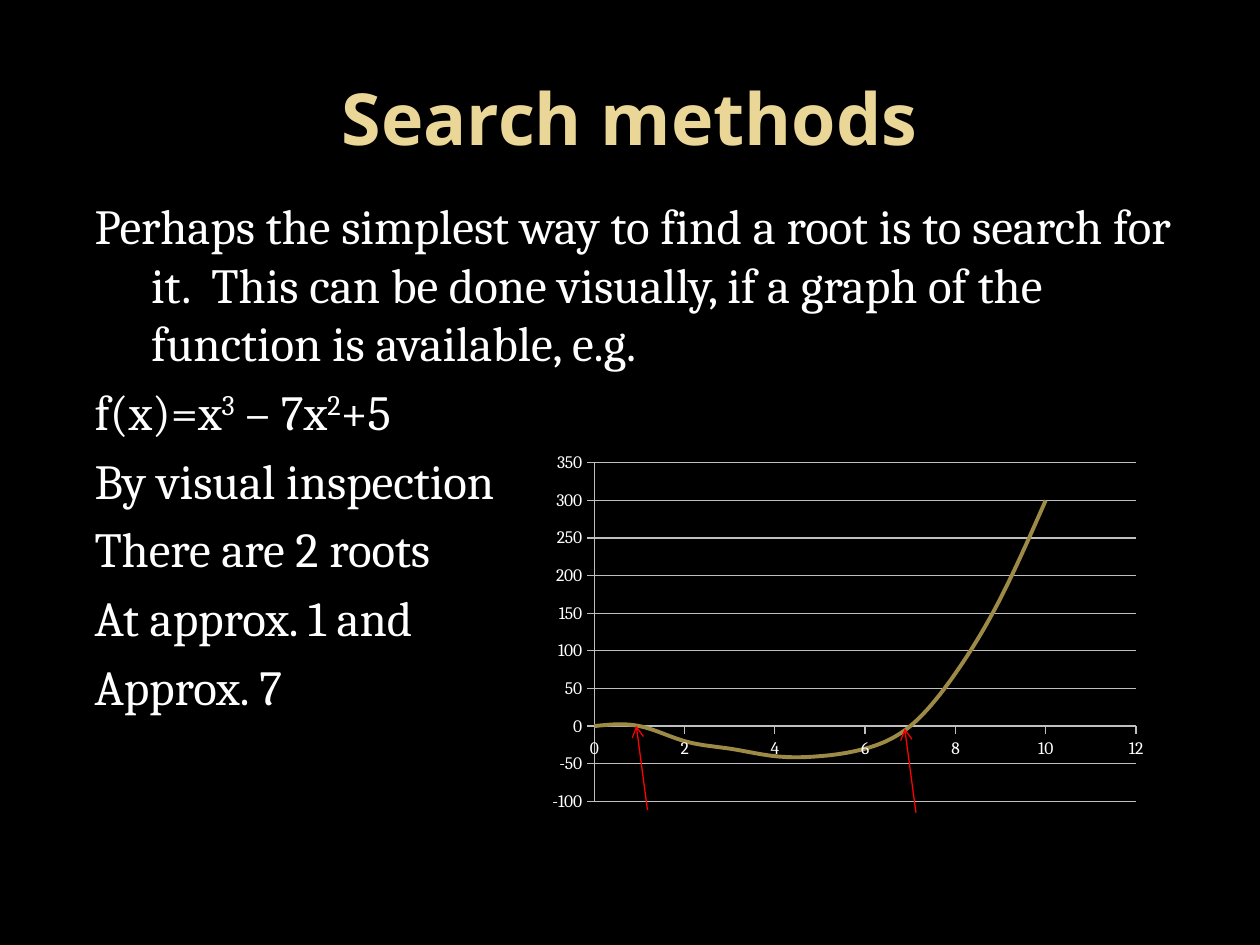
from lxml import etree
from pptx import Presentation
from pptx.chart.data import XyChartData
from pptx.dml.color import RGBColor
from pptx.enum.chart import XL_CHART_TYPE, XL_TICK_LABEL_POSITION, XL_TICK_MARK
from pptx.enum.shapes import MSO_CONNECTOR
from pptx.enum.text import MSO_ANCHOR, MSO_AUTO_SIZE, PP_ALIGN
from pptx.oxml import parse_xml
from pptx.oxml.ns import nsdecls, qn
from pptx.util import Pt

SMOOTH = XL_CHART_TYPE.XY_SCATTER_SMOOTH_NO_MARKERS
NEXT_TO_AXIS = XL_TICK_LABEL_POSITION.NEXT_TO_AXIS
TICK_OUT, TICK_NONE = XL_TICK_MARK.OUTSIDE, XL_TICK_MARK.NONE
STRAIGHT = MSO_CONNECTOR.STRAIGHT
MIDDLE, NO_FIT, CENTER = MSO_ANCHOR.MIDDLE, MSO_AUTO_SIZE.NONE, PP_ALIGN.CENTER


def rgb(value):
    """Turn a hex string into a colour."""
    return RGBColor.from_string(value)


class Deck:
    """Holds the style and the current slide."""
    black, white, gold = "000000", "FFFFFF", "EAD696"
    curve, grid, red = "9C8A46", "BFBFBF", "FF0000"
    head_font, body_font = "Open Sans", "Cambria"

    def __init__(self, prs):
        """Add a title-and-content slide with a dark background."""
        self.s = prs.slides.add_slide(prs.slide_layouts[1])
        fill = self.s.background.fill
        fill.solid()
        fill.fore_color.rgb = rgb(self.black)

    def place(self, sp, left, top, width, height):
        """Move and size a placeholder; return its text frame."""
        sp.left, sp.top, sp.width, sp.height = map(Pt, (left, top, width, height))
        tf = sp.text_frame
        tf.word_wrap, tf.auto_size = True, NO_FIT
        return tf

    def style(self, font, name, size, color, bold=False):
        """Set the face, size, colour and weight of a font."""
        font.name, font.size, font.bold = name, Pt(size), bold
        font.color.rgb = rgb(color)

    def title(self, text, box):
        """Fill the title placeholder."""
        tf = self.place(self.s.shapes.title, *box)
        tf.text, tf.vertical_anchor = text, MIDDLE
        p = tf.paragraphs[0]
        p.alignment = CENTER
        self.style(p.runs[0].font, self.head_font, 41, self.gold, True)

    def body(self, lines, box):
        """Fill the body placeholder; every odd part between ^ is raised."""
        tf = self.place(self.s.placeholders[1], *box)
        for i, line in enumerate(lines):
            p = tf.add_paragraph() if i else tf.paragraphs[0]
            p.space_before = Pt(5.6)
            pPr = p._p.get_or_add_pPr()
            pPr.set("marL", str(Pt(43.2)))
            pPr.set("indent", str(Pt(-32.4)))
            etree.SubElement(pPr, qn("a:buNone"))
            for j, part in enumerate(line.split("^")):
                r = p.add_run()
                r.text = part
                self.style(r.font, self.body_font, 28, self.white)
                if j % 2:
                    r._r.get_or_add_rPr().set("baseline", "30000")

    def axis(self, axis, low, high, step, tick, gridlines):
        """Scale and format one chart axis."""
        axis.minimum_scale, axis.maximum_scale, axis.major_unit = low, high, step
        axis.major_tick_mark, axis.minor_tick_mark = tick, TICK_NONE
        axis.tick_label_position = NEXT_TO_AXIS
        axis.has_major_gridlines = gridlines
        lines = [axis.format.line]
        if gridlines:
            lines.append(axis.major_gridlines.format.line)
        for line in lines:
            line.color.rgb, line.width = rgb(self.grid), Pt(0.75)

    def scatter(self, points, box, plot):
        """Add a smooth scatter chart with a fixed inner plot area."""
        data = XyChartData()
        series = data.add_series("Series 1")
        for x, y in points:
            series.add_data_point(x, y)
        chart = self.s.shapes.add_chart(SMOOTH, *map(Pt, box), data).chart
        chart.has_legend = chart.has_title = False
        self.style(chart.font, self.body_font, 10, self.white)
        self.axis(chart.category_axis, 0, 12, 2, TICK_OUT, False)
        self.axis(chart.value_axis, -100, 350, 50, TICK_OUT, True)
        ser = chart.plots[0].series[0]
        ser.format.line.color.rgb, ser.format.line.width = rgb(self.curve), Pt(2.25)
        for old in ser._element.findall(qn("c:smooth")):
            ser._element.remove(old)
        etree.SubElement(ser._element, qn("c:smooth"), val="1")
        area = chart._chartSpace.chart.plotArea
        for old in area.findall(qn("c:layout")):
            area.remove(old)
        sizes = "".join(f'<c:{k} val="{v}"/>' for k, v in zip("xywh", plot))
        area.insert(0, parse_xml(
            f'<c:layout {nsdecls("c")}><c:manualLayout><c:layoutTarget val="inner"/>'
            f'<c:xMode val="edge"/><c:yMode val="edge"/>{sizes}'
            '</c:manualLayout></c:layout>'))

    def arrow(self, start, end):
        """Draw a thin red arrow."""
        sp = self.s.shapes.add_connector(STRAIGHT, *map(Pt, start + end))
        sp.line.color.rgb, sp.line.width = rgb(self.red), Pt(0.75)
        etree.SubElement(sp.line._get_or_add_ln(), qn("a:tailEnd"), type="arrow")
        etree.SubElement(sp._element.spPr, qn("a:effectLst"))


def f(x):
    """The function whose roots are sought, to the nearest ten."""
    return round(x ** 3 - 7 * x ** 2 + 5, -1)


prs = Presentation()
prs.slide_width, prs.slide_height = Pt(720), Pt(540)
deck = Deck(prs)
deck.title("Search methods", (36, 21.6, 648, 90))
deck.body([
    "Perhaps the simplest way to find a root is to search for it.  This can be "
    "done visually, if a graph of the function is available, e.g.",
    "f(x)=x^3^ – 7x^2^+5",
    "By visual inspection",
    "There are 2 roots",
    "At approx. 1 and ",
    "Approx. 7",
], (36, 108, 648, 408))
deck.scatter([(x, f(x)) for x in range(11)], (300, 258, 360, 215),
             (0.11, 0.03, 0.86, 0.9))
for x, y in ((363.6, 414.7), (517, 416.2)):
    deck.arrow((x + 6.4, y + 48.2), (x, y))
prs.save("out.pptx")
